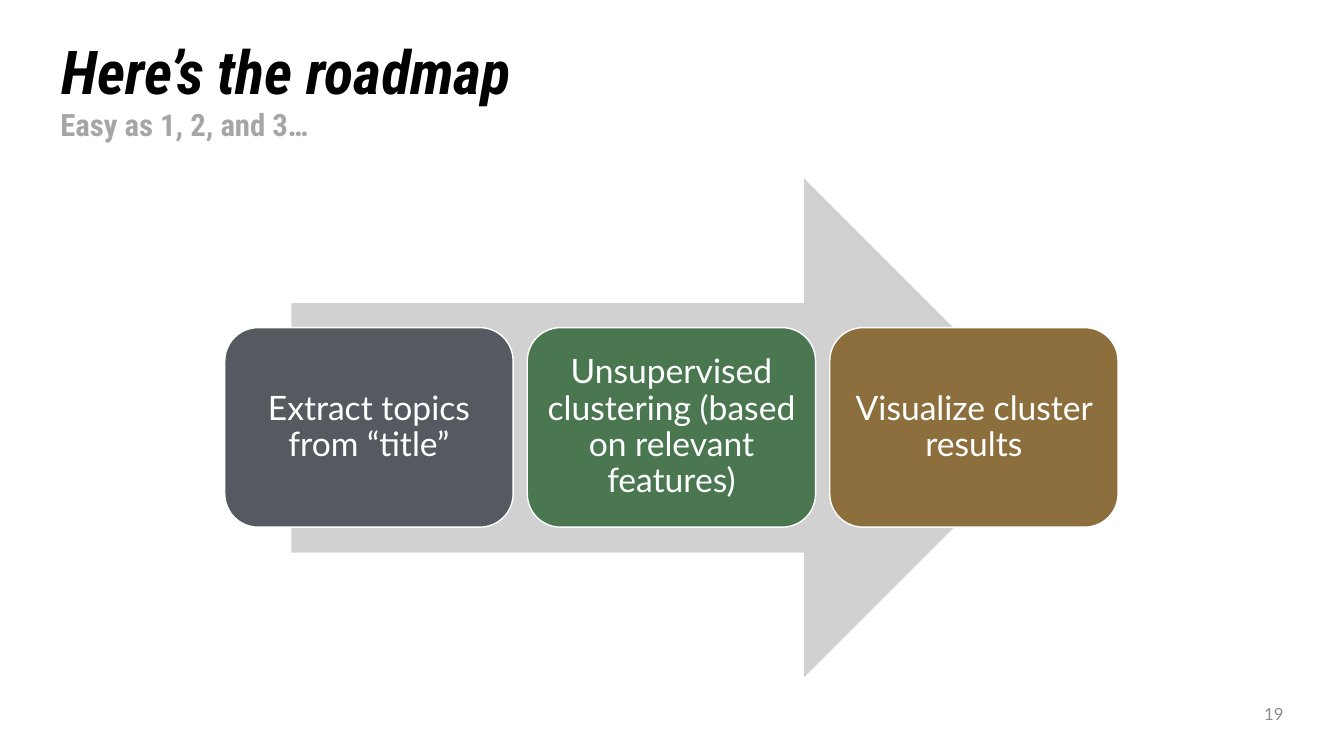
"""Build the roadmap slide: three steps in front of a wide arrow."""
from dataclasses import dataclass

from pptx import Presentation
from pptx.dml.color import RGBColor
from pptx.enum.shapes import MSO_SHAPE
from pptx.enum.text import MSO_ANCHOR, MSO_AUTO_SIZE, PP_ALIGN
from pptx.shapes.autoshape import Shape
from pptx.slide import Slide
from pptx.util import Emu, Pt

ARROW = MSO_SHAPE.RIGHT_ARROW
ROUND = MSO_SHAPE.ROUNDED_RECTANGLE
LEFT, CENTER, RIGHT = PP_ALIGN.LEFT, PP_ALIGN.CENTER, PP_ALIGN.RIGHT
TOP, MIDDLE = MSO_ANCHOR.TOP, MSO_ANCHOR.MIDDLE
FIXED = MSO_AUTO_SIZE.NONE
SCALE = 9144


@dataclass(frozen=True)
class Theme:
    """Colours, fonts and type sizes."""
    paper: str = "FEFFFF"
    ink: str = "000000"
    muted: str = "A6A6A6"
    folio: str = "8C8C8C"
    arrow: str = "D1D1D2"
    slate: str = "555960"
    green: str = "4A7650"
    brown: str = "8D6F3D"
    head: str = "Roboto Condensed"
    body: str = "Lato"
    title: float = 43.2
    sub: float = 22
    step: float = 24
    small: float = 12


@dataclass(frozen=True)
class Box:
    """A frame in px."""
    left: int
    top: int
    width: int
    height: int


@dataclass(frozen=True)
class Style:
    """The look of one piece of text."""
    font: str
    size: float
    color: str
    align: PP_ALIGN = LEFT
    anchor: MSO_ANCHOR = MIDDLE
    bold: bool = False
    italic: bool = False
    lead: float = 0.9


@dataclass(frozen=True)
class Step:
    """One stage of the roadmap."""
    text: str
    fill: str


THEME = Theme()
TITLE = Style(THEME.head, THEME.title, THEME.ink, bold=True, italic=True)
SUB = Style(THEME.head, THEME.sub, THEME.muted, anchor=TOP, bold=True)
LABEL = Style(THEME.body, THEME.step, THEME.paper, CENTER)
FOLIO = Style(THEME.body, THEME.small, THEME.folio, RIGHT, lead=1.0)
STEPS = (
    Step("Extract topics from “title”", THEME.slate),
    Step("Unsupervised clustering (based on relevant features)", THEME.green),
    Step("Visualize cluster results", THEME.brown),
)
FIRST = Box(223, 325, 286, 198)
PITCH = 300
INSET = 10


def px(count: int) -> Emu:
    """Turn px into EMU."""
    return Emu(count * SCALE)


def frame(box: Box) -> tuple[Emu, Emu, Emu, Emu]:
    """Give the four lengths of a box in EMU."""
    return px(box.left), px(box.top), px(box.width), px(box.height)


def write(shape: Shape, text: str, style: Style) -> None:
    """Put one styled run into a shape."""
    body = shape.text_frame
    body.word_wrap = True
    body.auto_size = FIXED
    body.vertical_anchor = style.anchor
    para = body.paragraphs[0]
    para.alignment = style.align
    para.line_spacing = style.lead
    para.space_before = Pt(0)
    run = para.add_run()
    run.text = text
    font = run.font
    font.name, font.size = style.font, Pt(style.size)
    font.bold, font.italic = style.bold, style.italic
    font.color.rgb = RGBColor.from_string(style.color)


def label(slide: Slide, box: Box, text: str, style: Style) -> None:
    """Add a text box."""
    write(slide.shapes.add_textbox(*frame(box)), text, style)


def block(slide: Slide, kind: MSO_SHAPE, box: Box, fill: str) -> Shape:
    """Add a filled shape without line or shadow."""
    shape = slide.shapes.add_shape(kind, *frame(box))
    shape.shadow.inherit = False
    shape.fill.solid()
    shape.fill.fore_color.rgb = RGBColor.from_string(fill)
    shape.line.fill.background()
    return shape


def card(slide: Slide, box: Box, step: Step) -> None:
    """Add one outlined step with its text."""
    shape = block(slide, ROUND, box, step.fill)
    shape.line.color.rgb = RGBColor.from_string(THEME.paper)
    shape.line.width = Pt(1)
    body = shape.text_frame
    body.margin_left = body.margin_right = px(INSET)
    body.margin_top = body.margin_bottom = px(INSET)
    write(shape, step.text, LABEL)


def main() -> None:
    """Build and save the slide."""
    deck = Presentation()
    deck.slide_width, deck.slide_height = px(1333), px(750)
    slide = deck.slides.add_slide(deck.slide_layouts[5])
    back = slide.background.fill
    back.solid()
    back.fore_color.rgb = RGBColor.from_string(THEME.paper)

    title = slide.shapes.title
    title.left, title.top, title.width, title.height = frame(Box(51, 42, 1232, 64))
    write(title, "Here’s the roadmap", TITLE)
    label(slide, Box(50, 104, 1233, 40), "Easy as 1, 2, and 3…", SUB)
    label(slide, Box(1163, 688, 120, 40), "19", FOLIO)

    block(slide, ARROW, Box(289, 177, 756, 495), THEME.arrow)
    for i, step in enumerate(STEPS):
        left = FIRST.left + i * PITCH
        card(slide, Box(left, FIRST.top, FIRST.width, FIRST.height), step)
    deck.save("out.pptx")


if __name__ == "__main__":
    main()
